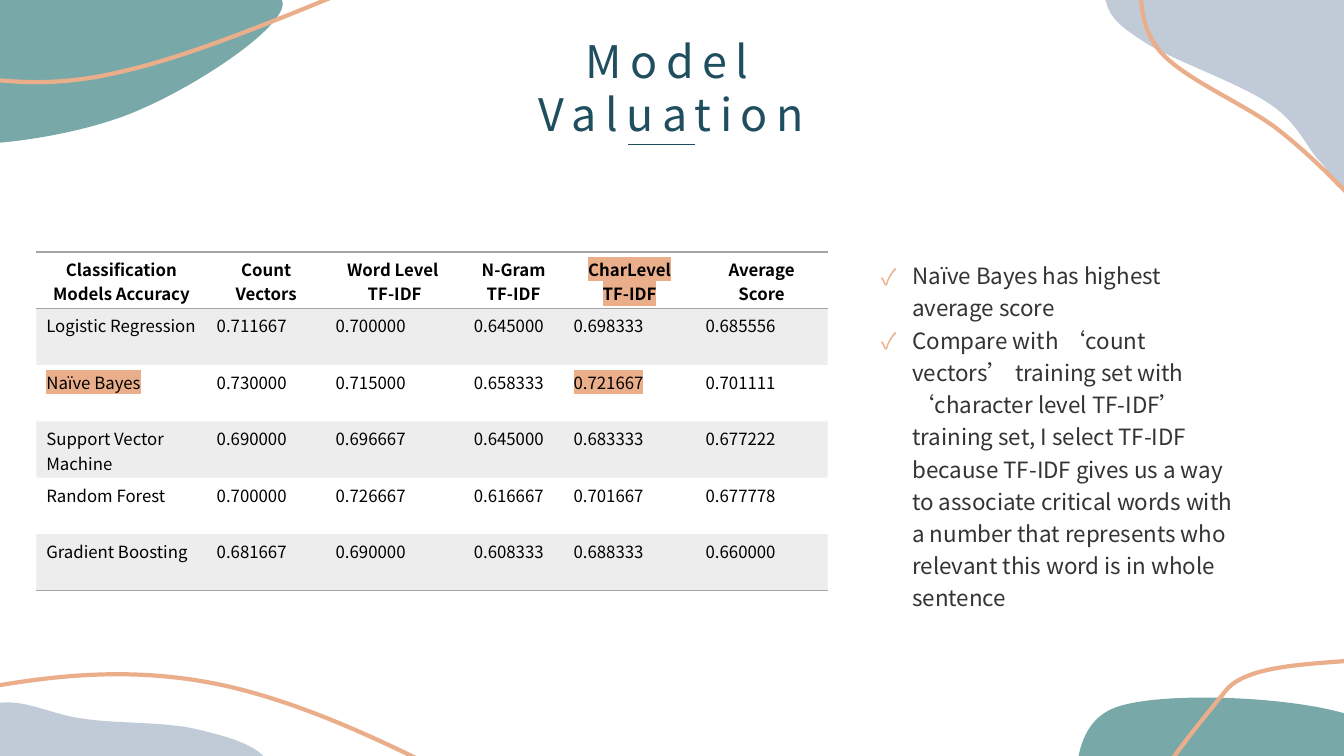
import math
import pptx
import pptx.util
import pptx.dml.color
import pptx.enum.shapes
import pptx.enum.text
import pptx.oxml.ns
from lxml import etree

# Content
TITLE = "Model Valuation"
HEADERS = [
    ["Classification Models Accuracy"], ["Count Vectors"], ["Word Level ", "TF-IDF"],
    ["N-Gram TF-IDF"], ["CharLevel", "TF-IDF"], ["Average", "Score"],
]
MODELS = [
    ("Logistic Regression", "0.711667", "0.700000", "0.645000", "0.698333", "0.685556"),
    ("Naïve Bayes", "0.730000", "0.715000", "0.658333", "0.721667", "0.701111"),
    ("Support Vector Machine", "0.690000", "0.696667", "0.645000", "0.683333", "0.677222"),
    ("Random Forest", "0.700000", "0.726667", "0.616667", "0.701667", "0.677778"),
    ("Gradient Boosting", "0.681667", "0.690000", "0.608333", "0.688333", "0.660000"),
]
HIGHLIGHTED = {(0, 4), (2, 0), (2, 4)}
FINDINGS = [
    "Naïve Bayes has highest average score",
    "Compare with ‘count vectors’ training set with ‘character level TF-IDF’ training set, "
    "I select TF-IDF because TF-IDF gives us a way to associate critical words with a number "
    "that represents who relevant this word is in whole sentence",
]

# Style
FONT = "Noto Sans CJK SC"
COLORS = {"teal": "79A8A9", "mist": "C1CBD7", "peach": "EAAF8A", "navy": "1F4E5F",
          "body": "333333", "black": "000000", "rule": "A5A5A5"}
SLIDE_WIDTH, SLIDE_HEIGHT = 13.33, 7.5
COLUMN_WIDTHS = [1.69, 1.18, 1.37, 0.99, 1.31, 1.31]
ROW_HEIGHT = 0.56
PLAIN_TABLE_STYLE = "{2D5ABB26-0587-4C30-8999-92F81FD0307C}"

# Decorations: color, box, rotation, start, curves (two control points and an end point)
BLOBS = [
    ("teal", (-1.92, -0.54, 4.72, 1.98), 0, (-1.81, -0.44), [
        (-1.51, -0.71, -0.1, -0.38, 0.67, -0.31), (1.44, -0.23, 2.73, -0.24, 2.8, 0.01),
        (2.88, 0.26, 1.78, 0.98, 1.12, 1.19), (0.46, 1.41, -0.69, 1.56, -1.18, 1.29),
        (-1.68, 1.03, -2.12, -0.17, -1.81, -0.44)]),
    ("mist", (10.86, -0.98, 2.87, 2.86), 0, (11.1, -0.46), [
        (10.7, -0.3, 10.92, -0.13, 10.97, 0.02), (11.01, 0.17, 11.1, 0.26, 11.37, 0.43),
        (11.64, 0.6, 12.3, 0.83, 12.59, 1.03), (12.88, 1.22, 12.96, 1.47, 13.09, 1.6),
        (13.22, 1.72, 13.28, 2.03, 13.39, 1.78), (13.49, 1.53, 13.73, 0.55, 13.73, 0.09),
        (13.72, -0.37, 13.81, -0.88, 13.37, -0.97), (12.93, -1.06, 11.5, -0.63, 11.1, -0.46)]),
    ("mist", (-0.96, 6.97, 3.77, 1.22), 0, (-0.83, 7.22), [
        (-0.73, 7.05, -0.26, 6.98, 0.02, 6.97), (0.29, 6.95, 0.51, 7.09, 0.83, 7.13),
        (1.15, 7.18, 1.63, 7.16, 1.93, 7.23), (2.24, 7.3, 2.56, 7.39, 2.65, 7.55),
        (2.74, 7.71, 3.02, 8.1, 2.48, 8.17), (1.94, 8.24, -0.04, 8.12, -0.6, 7.97),
        (-1.16, 7.81, -0.94, 7.38, -0.83, 7.22)]),
    ("teal", (10.51, 6.86, 3, 2.91), 282.4, (13.59, 7.19), [
        (13.94, 7.47, 13.28, 8.24, 13.06, 8.69), (12.85, 9.15, 12.69, 9.95, 12.32, 9.92),
        (11.95, 9.88, 11.06, 8.98, 10.84, 8.5), (10.63, 8.02, 10.56, 7.26, 11.01, 7.04),
        (11.46, 6.82, 13.25, 6.92, 13.59, 7.19)]),
]
STROKES = [
    ((11.32, -0.43, 2.17, 2.49), 0, (11.34, -0.43), [
        (11.31, -0.12, 11.27, 0.2, 11.49, 0.49), (11.71, 0.77, 12.33, 1.02, 12.67, 1.28),
        (13, 1.54, 13.25, 1.8, 13.49, 2.05)]),
    ((-0.4, -0.3, 4.35, 1.11), 0, (-0.4, 0.75), [
        (0.06, 0.81, 0.53, 0.88, 1.25, 0.7), (1.98, 0.53, 2.96, 0.11, 3.95, -0.3)]),
    ((-0.93, 6.69, 6.88, 1.81), 0, (-0.93, 6.98), [
        (0.07, 6.77, 1.07, 6.55, 2.22, 6.8), (3.36, 7.05, 4.66, 7.78, 5.95, 8.5)]),
    ((10.81, 6.8, 2.96, 0.61), 324.4, (13.67, 6.5), [
        (13.44, 6.61, 12.42, 6.52, 12.16, 6.85), (11.9, 7.17, 11.52, 7.62, 11.23, 8.16)]),
]


def color(name):
    return pptx.dml.color.RGBColor.from_string(COLORS[name])


def add_xml(parent, tag, **attributes):
    return etree.SubElement(parent, pptx.oxml.ns.qn(tag), attributes)


def add_color(parent, name):
    return add_xml(add_xml(parent, "a:solidFill"), "a:srgbClr", val=COLORS[name])


def add_run(paragraph, text, size, color_name, bold=False, highlight=None):
    run = paragraph.add_run()
    run.text = text
    run.font.size = pptx.util.Pt(size)
    run.font.bold = bold
    run.font.color.rgb = color(color_name)
    properties = run.font._element
    if highlight:
        add_xml(add_xml(properties, "a:highlight"), "a:srgbClr", val=COLORS[highlight])
    for tag in ("a:latin", "a:ea"):
        add_xml(properties, tag, typeface=FONT)
    return run


def place(shape, *box):
    shape.left, shape.top, shape.width, shape.height = map(pptx.util.Inches, box)


def add_curve(slide, box, rotation, start, curves, closed):
    left, top, width, height = box
    center_x, center_y = left + width / 2, top + height / 2
    cosine, sine = math.cos(math.radians(rotation)), math.sin(math.radians(rotation))

    def to_box(x, y):
        x, y = x - center_x, y - center_y
        return (pptx.util.Inches(x * cosine + y * sine + width / 2),
                pptx.util.Inches(y * cosine - x * sine + height / 2))

    builder = slide.shapes.build_freeform(*to_box(*start))
    builder.add_line_segments([to_box(*curve[4:]) for curve in curves], close=closed)
    shape = builder.convert_to_shape()
    place(shape, *box)
    shape.rotation = rotation
    shape.shadow.inherit = False
    # Bend the segments, with the path measured in the box
    outline = shape._element.find(".//" + pptx.oxml.ns.qn("a:path"))
    outline.set("w", str(shape.width))
    outline.set("h", str(shape.height))
    move, *segments = list(outline)[:len(curves) + 1]
    x, y = to_box(*start)
    move[0].set("x", str(x))
    move[0].set("y", str(y))
    for segment, curve in zip(segments, curves):
        bend = add_xml(outline, "a:cubicBezTo")
        for index in (0, 2, 4):
            x, y = to_box(*curve[index:index + 2])
            add_xml(bend, "a:pt", x=str(x), y=str(y))
        outline.replace(segment, bend)
    return shape


def add_decorations(slide):
    for color_name, *geometry in BLOBS:
        blob = add_curve(slide, *geometry, closed=True)
        blob.fill.solid()
        blob.fill.fore_color.rgb = color(color_name)
        blob.line.fill.background()
    for geometry in STROKES:
        stroke = add_curve(slide, *geometry, closed=False)
        stroke.fill.background()
        stroke.line.color.rgb = color("peach")
        stroke.line.width = pptx.util.Pt(3)


def add_title(slide):
    title = slide.shapes.title
    place(title, 5.13, 0.28, 3.06, 1.18)
    frame = title.text_frame
    frame.word_wrap = True
    frame.auto_size = pptx.enum.text.MSO_AUTO_SIZE.SHAPE_TO_FIT_TEXT
    frame.vertical_anchor = pptx.enum.text.MSO_ANCHOR.TOP
    paragraph = frame.paragraphs[0]
    paragraph.alignment = pptx.enum.text.PP_ALIGN.CENTER
    paragraph.space_before = pptx.util.Pt(6)
    add_run(paragraph, TITLE, 32, "navy").font._element.set("spc", "600")
    underline = slide.shapes.add_connector(
        pptx.enum.shapes.MSO_CONNECTOR.STRAIGHT,
        *map(pptx.util.Inches, (6.23, 1.43, 6.89, 1.43)))
    underline.line.color.rgb = color("navy")
    underline.line.width = pptx.util.Pt(0.5)
    add_xml(underline._element.spPr, "a:effectLst")


def add_findings(slide):
    box = slide.shapes.add_textbox(*map(pptx.util.Inches, (8.64, 2.5, 3.78, 3.3)))
    frame = box.text_frame
    frame.word_wrap = True
    frame.auto_size = pptx.enum.text.MSO_AUTO_SIZE.SHAPE_TO_FIT_TEXT
    indent = pptx.util.Inches(0.31)
    for index, finding in enumerate(FINDINGS):
        paragraph = frame.add_paragraph() if index else frame.paragraphs[0]
        paragraph.line_spacing = 1.2
        properties = paragraph._p.get_or_add_pPr()
        properties.set("marL", str(indent))
        properties.set("indent", str(-indent))
        add_xml(add_xml(properties, "a:buClr"), "a:srgbClr", val=COLORS["peach"])
        add_xml(properties, "a:buFont", typeface=FONT)
        add_xml(properties, "a:buChar", char="✓")
        add_run(paragraph, finding, 16, "body")


def add_scores(slide):
    rows = [HEADERS] + [[[text] for text in model] for model in MODELS]
    table = slide.shapes.add_table(
        len(rows), len(COLUMN_WIDTHS), *map(pptx.util.Inches, (
            0.36, 2.5, sum(COLUMN_WIDTHS), ROW_HEIGHT * len(rows)))).table
    table.first_row = table.horz_banding = False
    table._tbl.tblPr.find(pptx.oxml.ns.qn("a:tableStyleId")).text = PLAIN_TABLE_STYLE
    for column, width in zip(table.columns, COLUMN_WIDTHS):
        column.width = pptx.util.Inches(width)
    for row_index, row in enumerate(rows):
        table.rows[row_index].height = pptx.util.Inches(ROW_HEIGHT)
        is_header = row_index == 0
        for column_index, lines in enumerate(row):
            cell = table.cell(row_index, column_index)
            if is_header and column_index in (1, 3):
                cell.vertical_anchor = pptx.enum.text.MSO_ANCHOR.MIDDLE
            highlight = "peach" if (row_index, column_index) in HIGHLIGHTED else None
            for line_index, text in enumerate(lines):
                frame = cell.text_frame
                paragraph = frame.add_paragraph() if line_index else frame.paragraphs[0]
                if is_header:
                    paragraph.alignment = pptx.enum.text.PP_ALIGN.CENTER
                add_run(paragraph, text, 12, "black", is_header, highlight)
            # Rules above and below the header and under the last row
            properties = cell._tc.get_or_add_tcPr()
            ruled = {"a:lnT": is_header, "a:lnB": is_header or row_index == len(rows) - 1}
            for side in (side for side, shown in ruled.items() if shown):
                add_color(add_xml(properties, side, w="12700"), "rule")
            if row_index % 2:
                add_xml(add_color(properties, "rule"), "a:alpha", val="20000")
            else:
                cell.fill.background()


def main():
    presentation = pptx.Presentation()
    presentation.slide_width = pptx.util.Inches(SLIDE_WIDTH)
    presentation.slide_height = pptx.util.Inches(SLIDE_HEIGHT)
    slide = presentation.slides.add_slide(presentation.slide_layouts[5])
    add_decorations(slide)
    add_title(slide)
    add_findings(slide)
    add_scores(slide)
    presentation.save("out.pptx")


if __name__ == "__main__":
    main()
